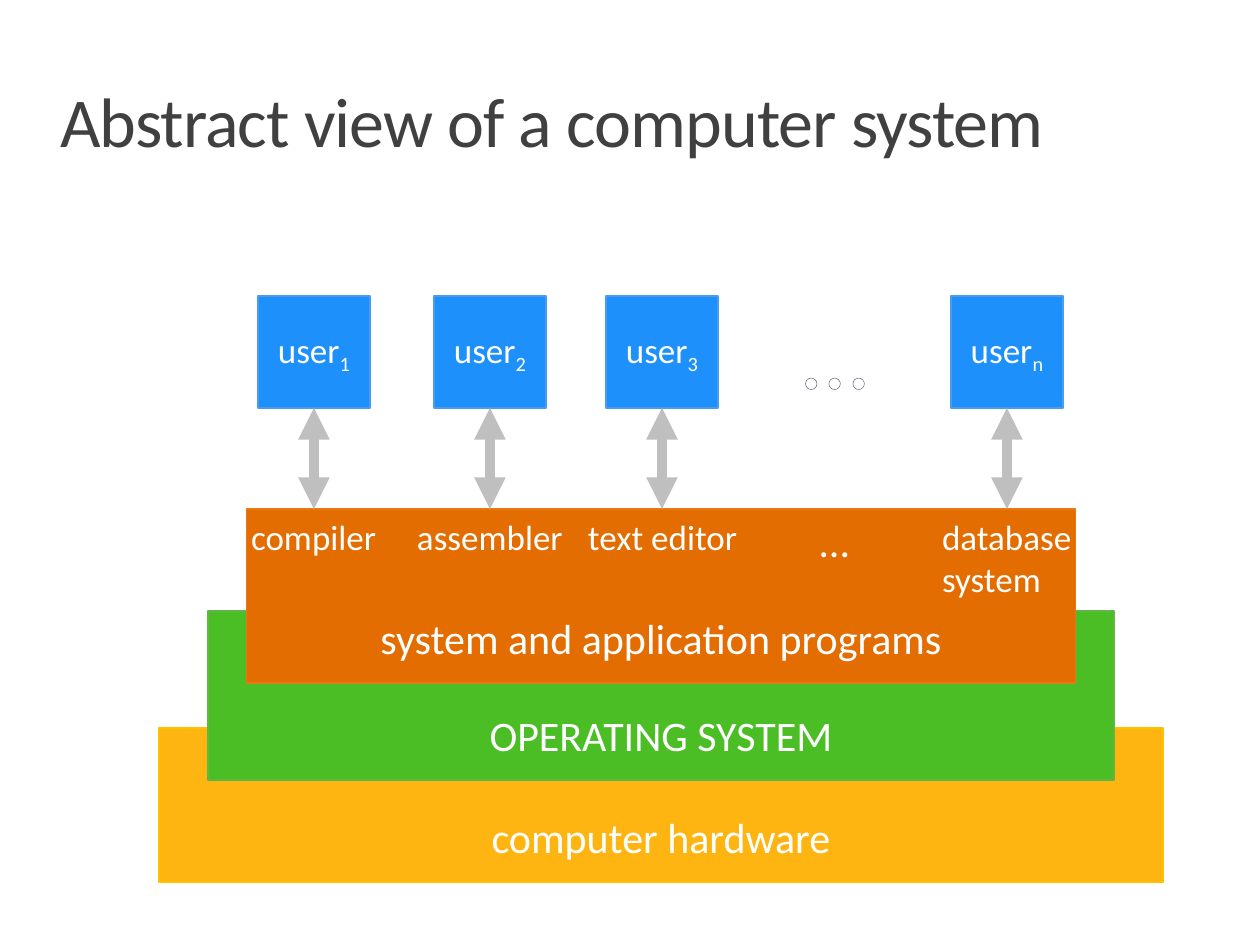
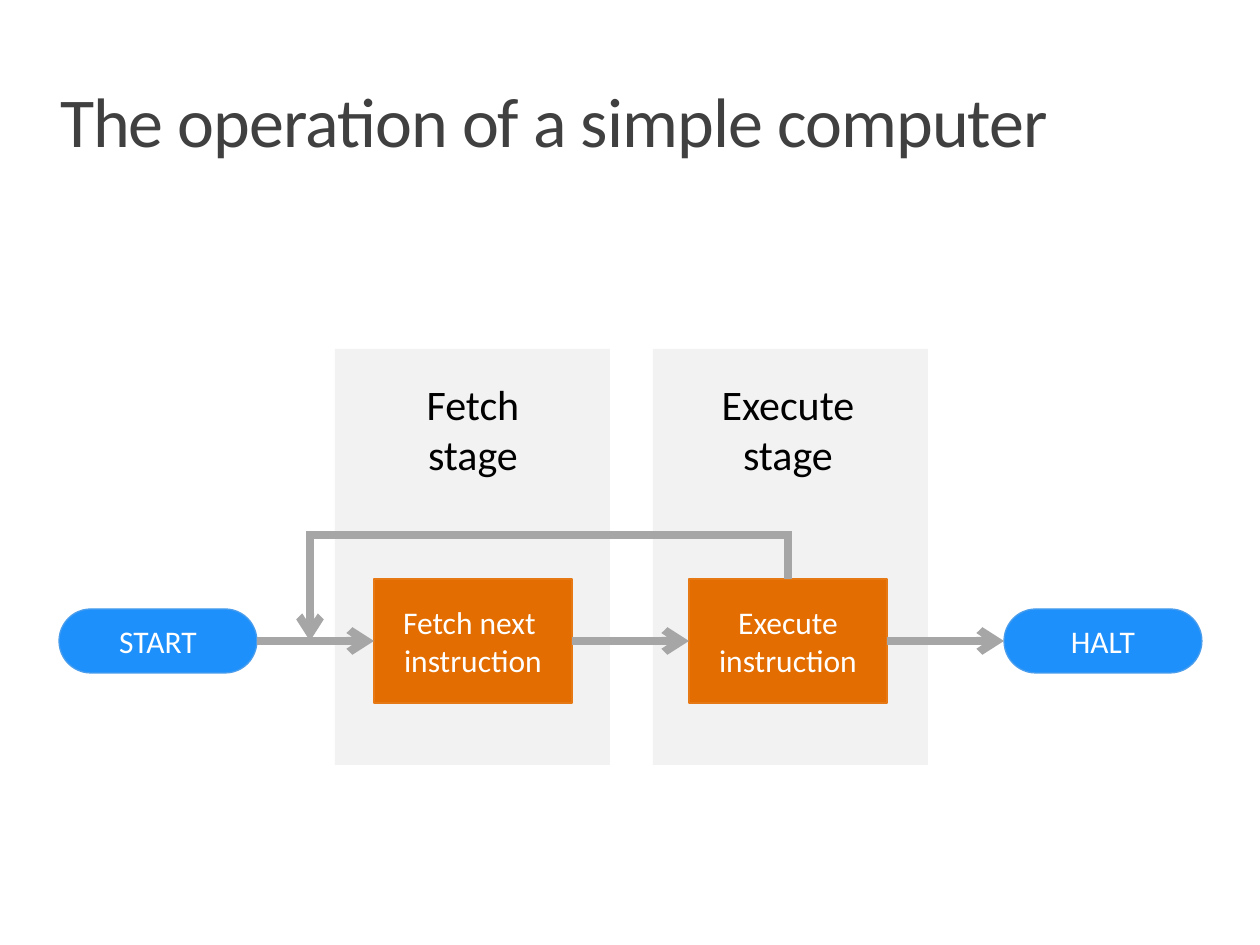
"""Build two slides: the layers of a computer system and its fetch-execute cycle."""
from lxml.etree import SubElement
from pptx import Presentation
from pptx.dml.color import RGBColor
from pptx.enum.shapes import MSO_CONNECTOR, MSO_SHAPE
from pptx.enum.text import MSO_ANCHOR, MSO_AUTO_SIZE, PP_ALIGN
from pptx.oxml import parse_xml
from pptx.oxml.ns import nsdecls, qn
from pptx.util import Inches, Pt

FONT = "Calibri"
WHITE = RGBColor(0xFF, 0xFF, 0xFF)
BLACK = RGBColor(0, 0, 0)
TITLE_GREY = RGBColor(0x40, 0x40, 0x40)
PANEL_GREY = RGBColor(0xF2, 0xF2, 0xF2)
LIGHT_ARROW = RGBColor(0xBF, 0xBF, 0xBF)
DARK_ARROW = RGBColor(0xA6, 0xA6, 0xA6)
BLUE, BLUE_EDGE = RGBColor(0x1D, 0x90, 0xFB), RGBColor(0x49, 0x9D, 0xEC)
ORANGE, ORANGE_EDGE = RGBColor(0xE3, 0x6D, 0x00), RGBColor(0xE6, 0x79, 0x14)
GREEN, GREEN_EDGE = RGBColor(0x4B, 0xBE, 0x25), RGBColor(0x61, 0xB5, 0x45)
YELLOW, YELLOW_EDGE = RGBColor(0xFF, 0xB5, 0x11), RGBColor(0xFF, 0xC0, 0x00)

SYSTEM_TITLE = "Abstract view of a computer system"
LAYERS = [
    ("computer hardware", 1004, 728, 154, YELLOW, YELLOW_EDGE),
    ("OPERATING SYSTEM", 906, 611, 169, GREEN, GREEN_EDGE),
    ("system and application programs", 829, 509, 174, ORANGE, ORANGE_EDGE),
]
LAYER_CENTER, PROGRAMS_TOP = 661, 509
COLUMNS = [
    (314, "1", 251, "compiler"),
    (490, "2", 417, "assembler"),
    (662, "3", 588, "text editor"),
    (835, None, 820, "…"),
    (1007, "n", 942, "database\nsystem"),
]
USER_TOP, USER_SIZE, LABEL_W, LABEL_H = 296, 112, 160, 100

CYCLE_TITLE = "The operation of a simple computer"
RECT, TERMINATOR = MSO_SHAPE.RECTANGLE, MSO_SHAPE.FLOWCHART_TERMINATOR
STEPS = [
    ("START", TERMINATOR, 64, BLUE, BLUE_EDGE),
    ("Fetch next \ninstruction", RECT, 124, ORANGE, ORANGE_EDGE),
    ("Execute\ninstruction", RECT, 124, ORANGE, ORANGE_EDGE),
    ("HALT", TERMINATOR, 64, BLUE, BLUE_EDGE),
]
STEP_LEFT, STEP_PITCH, STEP_W, STEP_MID = 59, 315, 198, 641
STAGES = [(335, 1, "Fetch\nstage"), (653, 2, "Execute\nstage")]
LOOP_LEFT, LOOP_TOP = 310, 535


def px(n):
    return round(n * Inches(1) / 126)


def format_text(tf, text, size, color, align=None, anchor=MSO_ANCHOR.TOP):
    tf.word_wrap = False
    tf.vertical_anchor = anchor
    p = tf.paragraphs[0]
    p.text = text
    p.alignment = align
    for r in p.runs:
        format_run(r, size, color)
    return p


def format_run(r, size, color):
    r.font.name, r.font.size = FONT, Pt(size)
    r.font.color.rgb = color


def add_title_slide(prs, title):
    s = prs.slides.add_slide(prs.slide_layouts[5])
    sp = s.shapes.title
    sp.left, sp.top, sp.width, sp.height = map(px, (60, 89, 1141, 112))
    tf = sp.text_frame
    tf.auto_size = MSO_AUTO_SIZE.NONE
    tf.margin_left = tf.margin_right = tf.margin_bottom = 0
    tf.margin_top = px(5)
    p = format_text(tf, title, 40, TITLE_GREY, PP_ALIGN.LEFT)
    tf.word_wrap = True
    p.line_spacing = 0.8
    p.runs[0].font._element.set("spc", "-50")
    return s


def add_box(s, kind, x, y, w, h, fill, edge=None):
    sp = s.shapes.add_shape(kind, *map(px, (x, y, w, h)))
    sp.shadow.inherit = False
    sp.fill.solid()
    sp.fill.fore_color.rgb = fill
    if edge is None:
        sp.line.fill.background()
    else:
        sp.line.color.rgb, sp.line.width = edge, Pt(0.75)
    return sp


def add_label(s, text, x, y, w, h, size, color, align=PP_ALIGN.LEFT, anchor=MSO_ANCHOR.TOP):
    tf = s.shapes.add_textbox(*map(px, (x, y, w, h))).text_frame
    tf.margin_left = tf.margin_right = 0
    p = format_text(tf, text, size, color, align, anchor)
    tf.word_wrap = True
    return p


def add_line(s, x1, y1, x2, y2, color, width, head=None, tail=None):
    c = s.shapes.add_connector(MSO_CONNECTOR.STRAIGHT, *map(px, (x1, y1, x2, y2)))
    c.line.color.rgb, c.line.width = color, Pt(width)
    ln = c.line._get_or_add_ln()
    for tag, end in (("a:headEnd", head), ("a:tailEnd", tail)):
        if end:
            SubElement(ln, qn(tag), type=end)
    SubElement(c._element.spPr, qn("a:effectLst"))
    return c


def build_system(prs):
    s = add_title_slide(prs, SYSTEM_TITLE)
    for text, w, y, h, fill, edge in LAYERS:
        sp = add_box(s, RECT, LAYER_CENTER - w / 2, y, w, h, fill, edge)
        sp.text_frame.margin_bottom = px(20)
        format_text(sp.text_frame, text, 24, WHITE, PP_ALIGN.CENTER, MSO_ANCHOR.BOTTOM)
    for center, user, label_left, program in COLUMNS:
        size = 20 if user else 24
        add_label(s, program, label_left, PROGRAMS_TOP, LABEL_W, LABEL_H, size, WHITE)
        left = center - USER_SIZE / 2
        if user is None:
            p = add_label(s, "…", left, USER_TOP - 1, USER_SIZE, USER_SIZE, 54, WHITE,
                          PP_ALIGN.CENTER, MSO_ANCHOR.MIDDLE)
            p.runs[0].font._element.insert(0, parse_xml(
                f'<a:ln {nsdecls("a")} w="6350"><a:solidFill>'
                '<a:srgbClr val="44546A"/></a:solidFill></a:ln>'))
            continue
        sp = add_box(s, RECT, left, USER_TOP, USER_SIZE, USER_SIZE, BLUE, BLUE_EDGE)
        p = format_text(sp.text_frame, "user", 20, WHITE, PP_ALIGN.CENTER, MSO_ANCHOR.MIDDLE)
        r = p.add_run()
        r.text = user
        format_run(r, 20, WHITE)
        r.font._element.set("baseline", "-25000")
        c = add_line(s, center, USER_TOP + USER_SIZE, center, PROGRAMS_TOP,
                     LIGHT_ARROW, 6, "triangle", "triangle")
        c.begin_connect(sp, 2)


def build_cycle(prs):
    s = add_title_slide(prs, CYCLE_TITLE)
    lefts = [STEP_LEFT + i * STEP_PITCH for i in range(len(STEPS))]
    for x, step, text in STAGES:
        add_box(s, RECT, x, 349, 275, 416, PANEL_GREY)
        add_label(s, text, lefts[step], 372, STEP_W, 114, 24, BLACK, PP_ALIGN.CENTER)
    boxes = []
    for x, (text, kind, h, fill, edge) in zip(lefts, STEPS):
        sp = add_box(s, kind, x, STEP_MID - h / 2, STEP_W, h, fill, edge)
        format_text(sp.text_frame, text, 18, WHITE, PP_ALIGN.CENTER, MSO_ANCHOR.MIDDLE)
        boxes.append(sp)
    for x, a, b in zip(lefts, boxes, boxes[1:]):
        c = add_line(s, x + STEP_W, STEP_MID, x + STEP_PITCH, STEP_MID,
                     DARK_ARROW, 4.5, tail="arrow")
        c.begin_connect(a, 3)
        c.end_connect(b, 1)
    loop_right = lefts[2] + STEP_W / 2
    rise = add_line(s, loop_right, LOOP_TOP, loop_right, STEP_MID - 62, DARK_ARROW, 4.5)
    rise.end_connect(boxes[2], 0)
    back = add_line(s, LOOP_LEFT, LOOP_TOP, loop_right, LOOP_TOP, DARK_ARROW, 4.5)
    back.line._get_or_add_ln().set("cap", "sq")
    add_line(s, LOOP_LEFT, LOOP_TOP, LOOP_LEFT, STEP_MID, DARK_ARROW, 4.5, tail="arrow")


def main():
    prs = Presentation()
    prs.slide_width, prs.slide_height = px(1260), px(945)
    build_system(prs)
    build_cycle(prs)
    prs.save("out.pptx")


if __name__ == "__main__":
    main()
